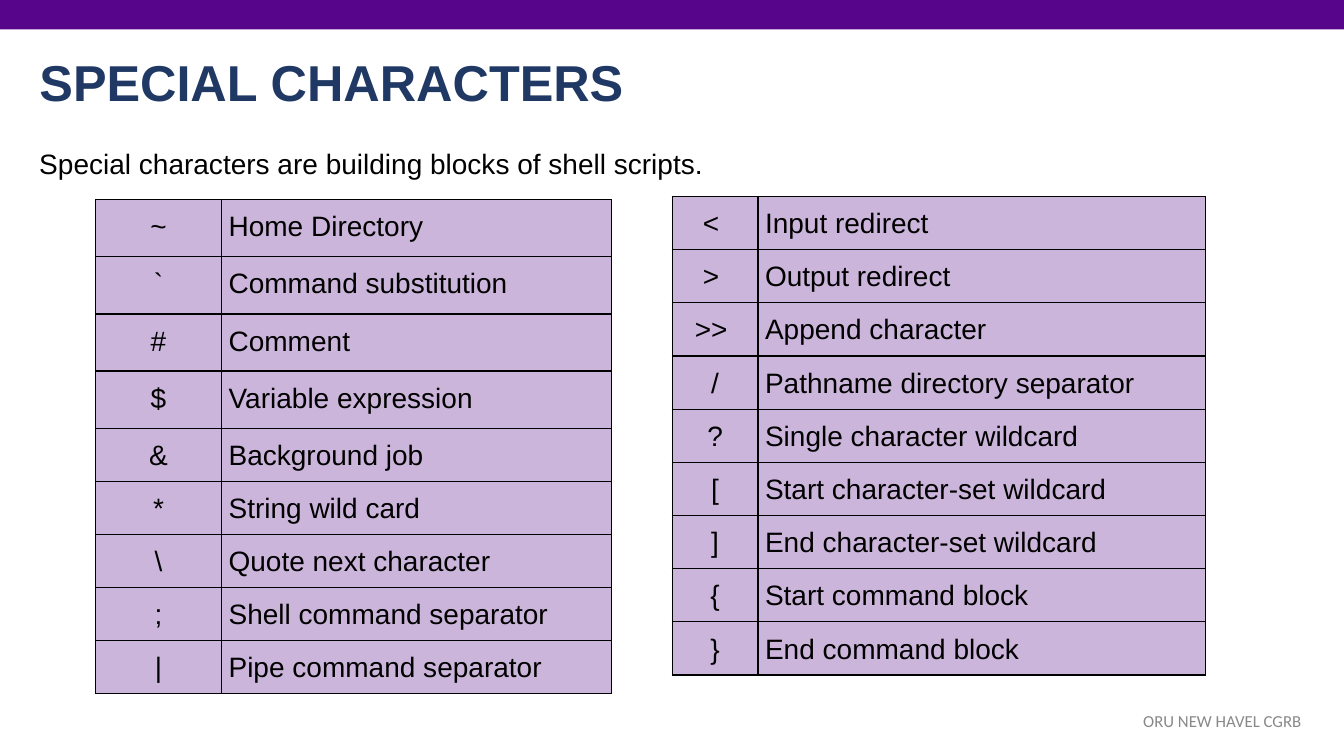
import pptx
import pptx.dml.color
import pptx.enum.shapes
import pptx.enum.text
import pptx.oxml
import pptx.oxml.ns
import pptx.util

Cm = pptx.util.Cm
ALIGN = pptx.enum.text.PP_ALIGN
ANCHOR = pptx.enum.text.MSO_ANCHOR

LEFT_ROWS = [
    ("~", "Home Directory"),
    ("`", "Command substitution"),
    ("#", "Comment"),
    ("$", "Variable expression"),
    ("&", "Background job"),
    ("*", "String wild card"),
    ("\\", "Quote next character"),
    (";", "Shell command separator"),
    ("|", "Pipe command separator"),
]
RIGHT_ROWS = [
    ("< ", "Input redirect"),
    ("> ", "Output redirect"),
    (">> ", "Append character"),
    ("/", "Pathname directory separator"),
    ("?", "Single character wildcard"),
    ("[", "Start character-set wildcard"),
    ("]", "End character-set wildcard"),
    ("{", "Start command block"),
    ("}", "End command block"),
]


def colour(value):
    return pptx.dml.color.RGBColor.from_string(value)


def apply(target, values):
    for name, value in values.items():
        setattr(target, name, value)


class SlideBuilder:
    """Holds the style and the current slide, and adds each kind of element."""

    ink = "000000"
    heading = "1F3864"
    muted = "888888"
    banner = "57068C"
    cell_fill = "CCB5DB"
    margin = Cm(0.18)

    def __init__(self, page):
        self.page = page

    def add_words(self, frame, text, size, shade, font="Arial", bold=False, **paragraph_format):
        para = frame.paragraphs[0]
        apply(para, paragraph_format)
        span = para.add_run()
        span.text = text
        apply(span.font, {"name": font, "size": pptx.util.Pt(size), "bold": bold})
        span.font.color.rgb = colour(shade)

    def title(self, text, left, top, width, height):
        shape = self.page.shapes.title
        apply(shape, {"left": Cm(left), "top": Cm(top), "width": Cm(width), "height": Cm(height)})
        apply(shape.text_frame, {"vertical_anchor": ANCHOR.MIDDLE, "word_wrap": True})
        self.add_words(shape.text_frame, text, 36, self.heading, bold=True,
                       alignment=ALIGN.LEFT, line_spacing=0.9)

    def text(self, text, place, size, shade, font="Arial", alignment=ALIGN.LEFT, **frame_format):
        frame = self.page.shapes.add_textbox(*map(Cm, place)).text_frame
        apply(frame, {"word_wrap": True, **frame_format})
        self.add_words(frame, text, size, shade, font, alignment=alignment)

    def bar(self, *place):
        kind = pptx.enum.shapes.MSO_SHAPE.RECTANGLE
        shape = self.page.shapes.add_shape(kind, *map(Cm, place))
        shape.shadow.inherit = False
        shape.fill.solid()
        shape.fill.fore_color.rgb = colour(self.banner)
        shape.line.fill.background()

    def borders(self, cell):
        properties = cell._tc.get_or_add_tcPr()
        for side in ("lnL", "lnR", "lnT", "lnB"):
            properties.append(pptx.oxml.parse_xml(
                f'<a:{side} {pptx.oxml.ns.nsdecls("a")} w="12700"><a:solidFill>'
                f'<a:srgbClr val="{self.ink}"/></a:solidFill></a:{side}>'))

    def table(self, rows, left, top, widths, heights):
        table = self.page.shapes.add_table(
            len(rows), len(widths), Cm(left), Cm(top), Cm(sum(widths)), Cm(sum(heights))).table
        apply(table, {"first_row": False, "horz_banding": False})
        for column, width in zip(table.columns, widths):
            column.width = Cm(width)
        for row, height, texts in zip(table.rows, heights, rows):
            row.height = Cm(height)
            for cell, text, alignment in zip(row.cells, texts, (ALIGN.CENTER, ALIGN.LEFT)):
                apply(cell, {f"margin_{side}": self.margin
                             for side in ("left", "right", "top", "bottom")})
                self.borders(cell)
                cell.fill.solid()
                cell.fill.fore_color.rgb = colour(self.cell_fill)
                self.add_words(cell.text_frame, text, 20, self.ink,
                               alignment=alignment, line_spacing=1.15)


def main():
    deck = pptx.Presentation()
    apply(deck, {"slide_width": Cm(33.87), "slide_height": Cm(19.05)})
    builder = SlideBuilder(deck.slides.add_slide(deck.slide_layouts[5]))
    builder.title("SPECIAL CHARACTERS", 0.74, 1.32, 29.21, 1.65)
    builder.text("Special characters are building blocks of shell scripts.",
                 (0.74, 3.56, 32.66, 14.17), 20, builder.ink)
    builder.text("ORU NEW HAVEL CGRB", (25.53, 17.65, 7.62, 1.02), 12, builder.muted,
                 "Calibri", ALIGN.RIGHT, vertical_anchor=ANCHOR.MIDDLE, margin_right=Cm(0.35))
    builder.bar(0, 0, 33.87, 0.74)
    builder.table(LEFT_ROWS, 2.41, 5.03, (3.17, 9.83), [1.44] * 4 + [1.2] * 5)
    builder.table(RIGHT_ROWS, 16.94, 4.95, (2.16, 11.28), [1.34] * 9)
    deck.save("out.pptx")


if __name__ == "__main__":
    main()
